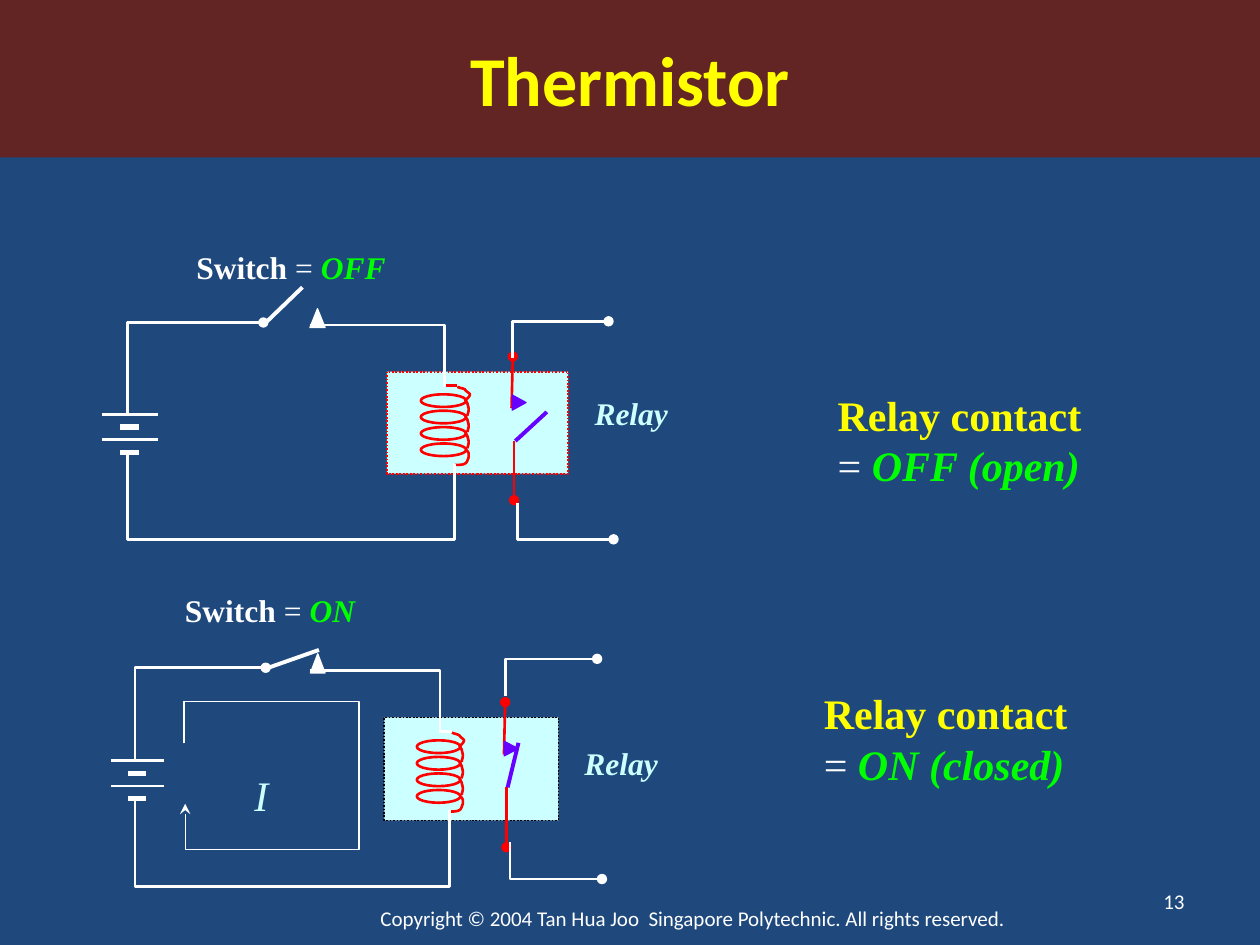
from pptx import Presentation
from pptx.dml.color import RGBColor
from pptx.enum.dml import MSO_LINE
from pptx.enum.shapes import MSO_CONNECTOR, MSO_SHAPE
from pptx.enum.text import MSO_ANCHOR, MSO_AUTO_SIZE, PP_ALIGN
from pptx.oxml.ns import qn
from pptx.util import Inches, Pt
from lxml import etree

RECT, OVAL, TRI = MSO_SHAPE.RECTANGLE, MSO_SHAPE.OVAL, MSO_SHAPE.ISOSCELES_TRIANGLE
LINE, DOTS = MSO_CONNECTOR.STRAIGHT, MSO_LINE.ROUND_DOT
MID, TOP = MSO_ANCHOR.MIDDLE, MSO_ANCHOR.TOP
LEFT, CENTER, RIGHT = PP_ALIGN.LEFT, PP_ALIGN.CENTER, PP_ALIGN.RIGHT
GROW, FIXED = MSO_AUTO_SIZE.SHAPE_TO_FIT_TEXT, MSO_AUTO_SIZE.NONE
SANS, SERIF = "Calibri", "Times New Roman"
HEX = {"back": "1F497D", "band": "632523", "white": "FFFFFF", "yellow": "FFFF00",
       "green": "00FF00", "pale": "CCFFFF", "red": "FF0000", "violet": "6600FF",
       "black": "000000"}


def rgb(name):
    return RGBColor.from_string(HEX[name])


def curve(start, *beziers, steps=6):
    """Return points along joined cubic Bezier curves."""
    points = [start]
    for b, c, d in beziers:
        a = points[-1]
        for i in range(1, steps + 1):
            t = i / steps
            u = 1 - t
            points.append(tuple(
                u**3 * a[k] + 3 * u * u * t * b[k] + 3 * u * t * t * c[k] + t**3 * d[k]
                for k in (0, 1)))
    return points


class Board:
    """Draws on one slide; shift and scale map drawing points to slide inches."""

    def __init__(self, slide):
        self.slide = slide
        self.shapes = slide.shapes
        self.place()
        slide.background.fill.solid()
        slide.background.fill.fore_color.rgb = rgb("back")

    def place(self, base=(0, 0), spot=(0, 0), scale=(1, 1)):
        self.base, self.spot, self.scale = base, spot, scale

    def map(self, x, y):
        return [Inches(s + (v - b) * k) for v, b, s, k in
                zip((x, y), self.base, self.spot, self.scale)]

    def stroke(self, shape, color, width, dash=None, head=None, tail=None):
        line = shape.line
        line.color.rgb = rgb(color)
        line.width = Pt(width)
        if dash:
            line.dash_style = dash
        ln = shape._element.spPr.find(qn("a:ln"))
        for tag, kind in (("a:headEnd", head), ("a:tailEnd", tail)):
            if kind:
                etree.SubElement(ln, qn(tag)).set("type", kind)

    def shape(self, kind, x, y, w, h, fill=None, line=None, width=0.75, dash=None, turn=0):
        size = [Inches(v * k) for v, k in zip((w, h), self.scale)]
        shape = self.shapes.add_shape(kind, *self.map(x, y), *size)
        shape.shadow.inherit = False
        shape.rotation = turn
        if fill:
            shape.fill.solid()
            shape.fill.fore_color.rgb = rgb(fill)
        else:
            shape.fill.background()
        if line:
            self.stroke(shape, line, width, dash)
        else:
            shape.line.fill.background()
        return shape

    def line(self, start, end, color="white", width=1.5, head=None):
        line = self.shapes.add_connector(LINE, *self.map(*start), *self.map(*end))
        self.stroke(line, color, width, head=head)
        etree.SubElement(line._element.spPr, qn("a:effectLst"))

    def wire(self, points, color="white", width=1.5, tail=None):
        first, *rest = [self.map(*p) for p in points]
        build = self.shapes.build_freeform(*first)
        build.add_line_segments(rest, close=False)
        shape = build.convert_to_shape()
        shape.shadow.inherit = False
        shape.fill.background()
        self.stroke(shape, color, width, tail=tail)

    def label(self, shape, paras, size, font=SERIF, align=LEFT, anchor=TOP, wrap=True, fit=GROW):
        """Fill a shape with paragraphs of (text, color, style) runs; style holds b and i."""
        frame = shape.text_frame
        frame.word_wrap, frame.auto_size, frame.vertical_anchor = wrap, fit, anchor
        for n, runs in enumerate(paras):
            para = frame.add_paragraph() if n else frame.paragraphs[0]
            para.alignment = align
            for text, color, style in runs:
                run = para.add_run()
                run.text = text
                run.font.name, run.font.size = font, Pt(size)
                run.font.bold, run.font.italic = "b" in style, "i" in style
                run.font.color.rgb = rgb(color)

    def text(self, x, y, w, h, paras, size, **opts):
        box = self.shapes.add_textbox(*(Inches(v) for v in (x, y, w, h)))
        self.label(box, paras, size, **opts)

    def coil(self):
        for i in range(4):
            self.shape(OVAL, 3.34, 3.13 + 0.13 * i, 0.36, 0.1, line="red", width=1.5)
        bends = [curve((3.63, 3.07), ((3.65, 3.08), (3.67, 3.08), (3.69, 3.09)),
                       ((3.7, 3.11), (3.73, 3.12), (3.73, 3.13)),
                       ((3.73, 3.15), (3.7, 3.17), (3.69, 3.18)))]
        for y in (3.17, 3.3, 3.43):
            bends.append(curve(
                (3.69, y), ((3.7, y + 0.01), (3.7, y + 0.02), (3.71, y + 0.03)),
                ((3.71, y + 0.04), (3.72, y + 0.06), (3.72, y + 0.08)),
                ((3.72, y + 0.1), (3.71, y + 0.12), (3.71, y + 0.13))))
        bends.append(curve((3.7, 3.57), ((3.71, 3.58), (3.72, 3.59), (3.72, 3.6)),
                           ((3.72, 3.61), (3.72, 3.62), (3.72, 3.63)),
                           ((3.71, 3.65), (3.71, 3.67), (3.69, 3.68)),
                           ((3.67, 3.69), (3.64, 3.69), (3.61, 3.69))))
        for bend in bends:
            self.wire(bend, "red")

    def circuit(self, edge, hook, blade, arm, lift=0):
        """Draw battery, switch and relay; blade and arm are the tips of the two contacts."""
        self.shape(RECT, 3.07, 2.95, 1.44, 0.81, "pale", edge, 1, DOTS)
        self.coil()
        self.line((4.07, 2.83), (4.06, 3.24), "red", head="oval")
        self.line((4.08, 3.97), (4.08, 3.5), "red", head="oval")
        self.line((4.09, 3.5), arm, "violet", 2.25)
        self.line((3.63, 3.06), (3.54, 3.06), hook)
        self.wire([(2.46, 2.58), (3.53, 2.58), (3.53, 3.07)])
        for y in (3.29, 3.49):
            self.line((0.81, y), (1.25, y))
            self.line((0.95, y + 0.1), (1.1, y + 0.1), width=3)
        self.wire([(1.01, 3.3), (1.01, 2.56), (2.09, 2.56)], tail="oval")
        self.line((2.11, 2.56), blade, width=2.25)
        self.shape(TRI, 2.46, 2.45, 0.12, 0.15, "white", "white")
        self.wire([(1.01, 3.6), (1.01, 4.28), (3.61, 4.28), (3.61, 3.68)])
        self.shape(TRI, 4.06, 3.14, 0.12, 0.11, "violet", "violet", turn=90)
        for x, near, far in ((4.07, 2.84, 2.55), (4.11, 3.99, 4.28)):
            self.wire([(x, near - lift), (x, far - lift), (x + 0.76, far - lift)], tail="oval")


def main():
    deck = Presentation()
    deck.slide_width, deck.slide_height = Inches(10), Inches(7.5)
    board = Board(deck.slides.add_slide(deck.slide_layouts[6]))
    board.text(1.92, 7.04, 7.16, 0.5, [[(
        "Copyright © 2004 Tan Hua Joo  Singapore Polytechnic. All rights reserved.",
        "white", "")]], 12, font=SANS, align=CENTER, anchor=MID, fit=FIXED)

    for x, y, w, state in ((6.55, 3.04, 2.16, "OFF (open)"), (6.44, 5.41, 2.34, "ON (closed)")):
        board.text(x, y, w, 0.9, [[("Relay contact", "yellow", "b")],
                                  [("= ", "white", ""), (state, "green", "bi")]], 24)
    for x, y, state in ((1.46, 1.92, "OFF"), (1.37, 4.64, "ON")):
        board.text(x, y, 1.84, 0.4, [[("Switch", "white", "b"), (" = ", "white", ""),
                                      (state, "green", "bi")]], 18)

    board.circuit("red", "red", blade=(2.4, 2.28), arm=(4.34, 3.27))
    board.place(base=(0.81, 2.56), spot=(0.88, 5.3), scale=(0.96, 1.01))
    board.circuit("black", "white", blade=(2.53, 2.42), arm=(4.18, 3.15), lift=0.06)
    board.place()
    board.wire([(1.46, 5.9), (1.46, 5.57), (2.85, 5.57), (2.85, 6.74), (1.47, 6.74),
                (1.47, 6.38)], width=0.75, tail="stealth")
    board.text(1.92, 6.06, 0.31, 0.5, [[("I", "pale", "i")]], 24, wrap=False)
    for x, y in ((4.62, 3.08), (4.54, 5.86)):
        board.text(x, y, 0.78, 0.4, [[("Relay", "pale", "bi")]], 18, wrap=False)

    band = board.shape(RECT, 0, 0, 10, 1.25, "band")
    board.label(band, [[("Thermistor", "yellow", "b")]], 40, font=SANS,
                align=CENTER, anchor=MID, fit=FIXED)
    board.text(7.17, 6.95, 2.33, 0.4, [[("13", "white", "")]], 12, font=SANS,
               align=RIGHT, anchor=MID, fit=FIXED)
    deck.save("out.pptx")


if __name__ == "__main__":
    main()
